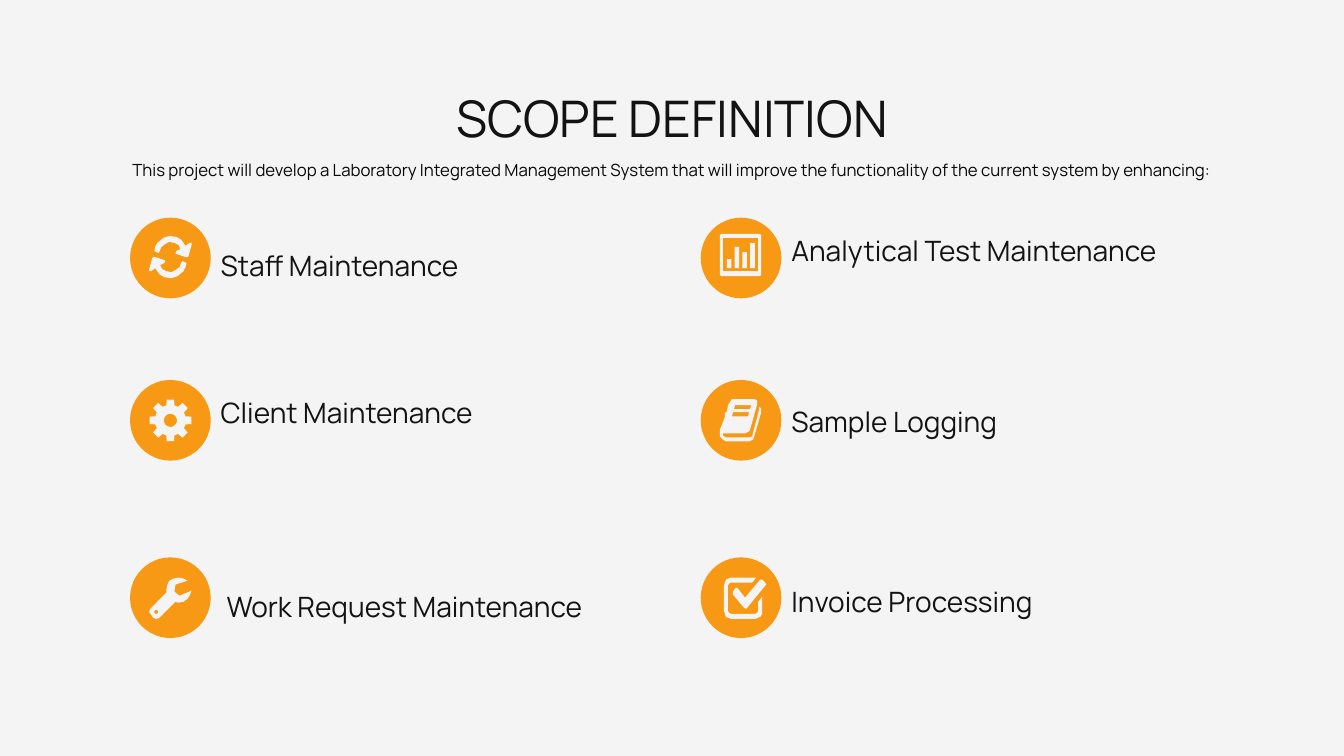
from math import cos, pi, sin
from pptx import Presentation
from pptx.dml.color import RGBColor
from pptx.enum.shapes import MSO_SHAPE
from pptx.enum.text import MSO_AUTO_SIZE, PP_ALIGN
from pptx.util import Inches, Pt

theme = {
    "paper": RGBColor.from_string("F4F4F4"),
    "disc": RGBColor.from_string("F89915"),
    "ink": RGBColor.from_string("131313"),
    "dark": RGBColor.from_string("070707"),
    "font": "Manrope",
    "title": Pt(36),
    "label": Pt(20),
    "intro": Pt(12),
}

deck = Presentation()
deck.slide_width, deck.slide_height = Inches(13.33), Inches(7.5)
slide = deck.slides.add_slide(deck.slide_layouts[6])
slide.background.fill.solid()
slide.background.fill.fore_color.rgb = theme["paper"]


def write(text, left, top, width, height, size, color, align):
    box = slide.shapes.add_textbox(Inches(left), Inches(top), Inches(width), Inches(height))
    frame = box.text_frame
    frame.word_wrap = True
    frame.auto_size = MSO_AUTO_SIZE.SHAPE_TO_FIT_TEXT
    para = frame.paragraphs[0]
    para.alignment = align
    para.line_spacing = 1.5
    run = para.add_run()
    run.text = text
    for name, value in {"name": theme["font"], "size": theme[size]}.items():
        setattr(run.font, name, value)
    run.font.color.rgb = theme[color]


def paint(shape, color):
    shape.shadow.inherit = False
    shape.fill.solid()
    shape.fill.fore_color.rgb = theme[color]
    shape.line.fill.background()


write("This project will develop a Laboratory Integrated Management System that will improve "
      "the functionality of the current system by enhancing:",
      0.62, 1.44, 12.09, 0.37, "intro", "dark", PP_ALIGN.CENTER)
write("SCOPE DEFINITION", 0.62, 0.52, 12.09, 0.9, "title", "ink", PP_ALIGN.CENTER)

labels = [
    ("Staff Maintenance", 2.09, 2.25),
    ("Analytical Test Maintenance", 7.75, 2.1),
    ("Client Maintenance", 2.09, 3.71),
    ("Sample Logging", 7.75, 3.8),
    ("Work Request Maintenance", 2.15, 5.63),
    ("Invoice Processing", 7.75, 5.58),
]
spots = [(left, top) for top in (2.16, 3.77, 5.53) for left in (1.29, 6.95)]
for (left, top), (text, x, y) in zip(spots, labels):
    paint(slide.shapes.add_shape(MSO_SHAPE.OVAL, Inches(left), Inches(top),
                                 Inches(0.8), Inches(0.8)), "disc")
    write(text, x, y, 4.71, 0.55, "label", "ink", PP_ALIGN.JUSTIFY)

wrench = [
    [(1.9, 5.86), (1.88, 5.91), (1.86, 5.94), (1.82, 5.97), (1.77, 5.98), (1.74, 5.97),
     (1.58, 6.13), (1.55, 6.14), (1.52, 6.13), (1.5, 6.1), (1.48, 6.07), (1.49, 6.04),
     (1.65, 5.88), (1.65, 5.85), (1.66, 5.8), (1.68, 5.76), (1.72, 5.74), (1.77, 5.73),
     (1.82, 5.74), (1.86, 5.76), (1.74, 5.8), (1.73, 5.87), (1.78, 5.91)],
    [(1.55 + 0.02 * cos(k * pi / 6), 6.07 + 0.02 * sin(k * pi / 6)) for k in range(12)],
]

tooth = [(-10, 0.21), (10, 0.21), (15, 0.155), (30, 0.155)]
turns = [((45 * k + step) * pi / 180, size) for k in range(8) for step, size in tooth]
hole = [(k * pi / 12, 0.065) for k in range(24)]
gear = [[(1.69 + size * cos(turn), 4.17 + size * sin(turn)) for turn, size in ring]
        for ring in (turns, hole)]

arrow = [
    (1.85, 2.61), (1.84, 2.65), (1.82, 2.69), (1.76, 2.74), (1.7, 2.76), (1.63, 2.75),
    (1.58, 2.72), (1.54, 2.66), (1.5, 2.69), (1.48, 2.69), (1.48, 2.67), (1.51, 2.56),
    (1.52, 2.55), (1.54, 2.55), (1.63, 2.58), (1.64, 2.59), (1.63, 2.61), (1.59, 2.63),
    (1.61, 2.67), (1.65, 2.69), (1.7, 2.7), (1.74, 2.68), (1.78, 2.65), (1.8, 2.6),
    (1.81, 2.59),
]
cycle = [arrow, [(3.38 - x, 5.1 - y) for x, y in arrow]]

bars = [(7.21 + 0.077 * k, top) for k, top in enumerate((2.57, 2.45, 2.5, 2.41))]
chart = [
    [(7.16, 2.32), (7.53, 2.32), (7.55, 2.33), (7.55, 2.73), (7.53, 2.74), (7.16, 2.74),
     (7.14, 2.73), (7.14, 2.33)],
    [(7.17, 2.36), (7.17, 2.69), (7.52, 2.69), (7.52, 2.36)],
]
chart += [[(x, 2.66), (x, top), (x + 0.045, top), (x + 0.045, 2.66)] for x, top in bars]

book = [
    [(7.53, 4.04), (7.55, 4.05), (7.55, 4.09), (7.48, 4.33), (7.47, 4.36), (7.43, 4.38),
     (7.2, 4.38), (7.17, 4.36), (7.14, 4.33), (7.14, 4.26), (7.17, 4.19), (7.19, 4.13),
     (7.19, 4.1), (7.21, 4.08), (7.22, 4.02), (7.24, 3.99), (7.26, 3.96), (7.48, 3.96),
     (7.51, 3.97), (7.51, 4.01), (7.44, 4.26), (7.43, 4.28), (7.39, 4.3), (7.17, 4.3),
     (7.17, 4.32), (7.2, 4.34), (7.43, 4.34), (7.46, 4.33), (7.53, 4.06)],
]
book += [[(x, y), (x + 0.16, y), (x + 0.17, y - 0.04), (x + 0.01, y - 0.04)]
         for x, y in ((7.26, 4.13), (7.28, 4.06))]

check = [
    [(7.52, 5.97), (7.56, 5.92), (7.56, 6.06), (7.56, 6.09), (7.54, 6.12), (7.49, 6.14),
     (7.25, 6.14), (7.2, 6.12), (7.18, 6.06), (7.18, 5.81), (7.2, 5.75), (7.25, 5.73),
     (7.5, 5.73), (7.46, 5.78), (7.25, 5.78), (7.23, 5.79), (7.22, 5.81), (7.22, 6.06),
     (7.23, 6.08), (7.25, 6.09), (7.49, 6.09), (7.51, 6.08), (7.52, 6.06)],
    [(7.59, 5.78), (7.6, 5.8), (7.59, 5.81), (7.41, 6.03), (7.4, 6.04), (7.38, 6.03),
     (7.27, 5.9), (7.27, 5.87), (7.29, 5.84), (7.31, 5.83), (7.32, 5.84), (7.39, 5.93),
     (7.54, 5.75), (7.56, 5.75)],
]

for icon in (wrench, gear, cycle, chart, book, check):
    rings = [[(Inches(x), Inches(y)) for x, y in ring] for ring in icon]
    pen = slide.shapes.build_freeform(*rings[0][0])
    pen.add_line_segments(rings[0][1:])
    for ring in rings[1:]:
        pen.move_to(*ring[0])
        pen.add_line_segments(ring[1:])
    paint(pen.convert_to_shape(), "paper")

deck.save("out.pptx")
